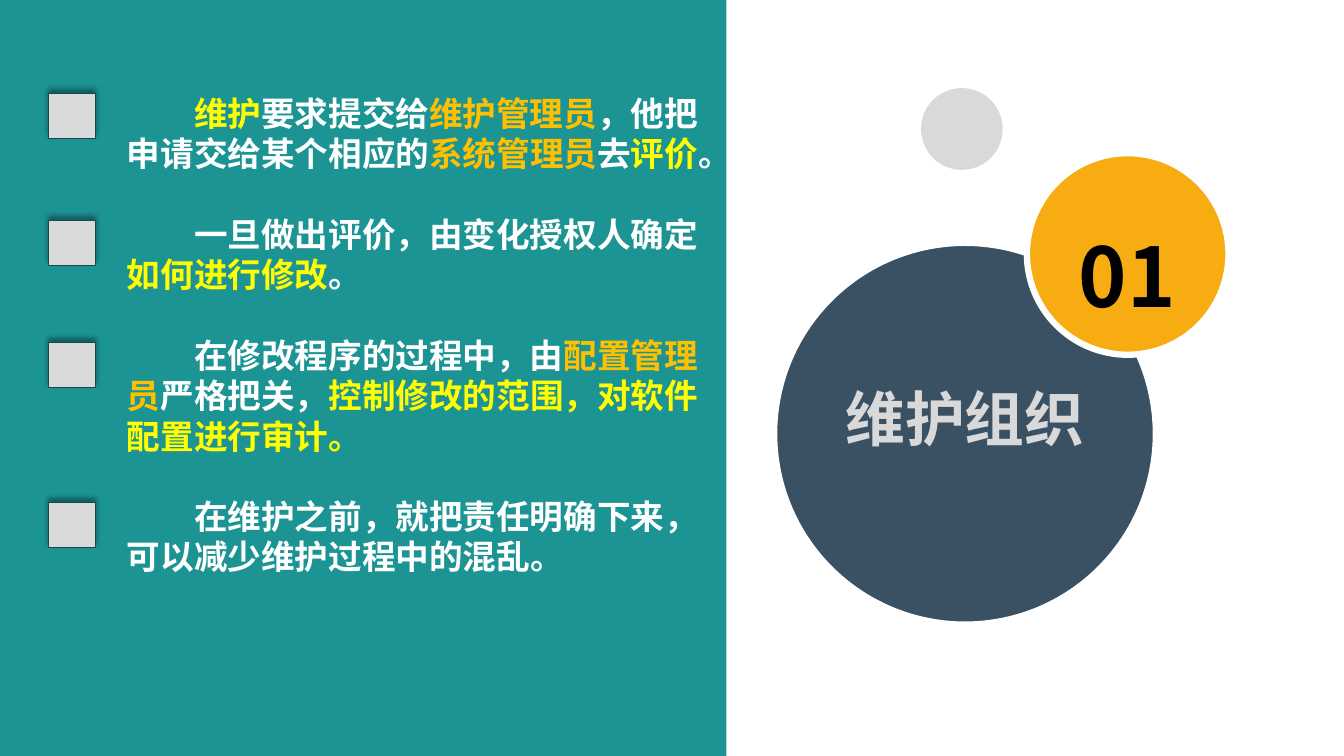
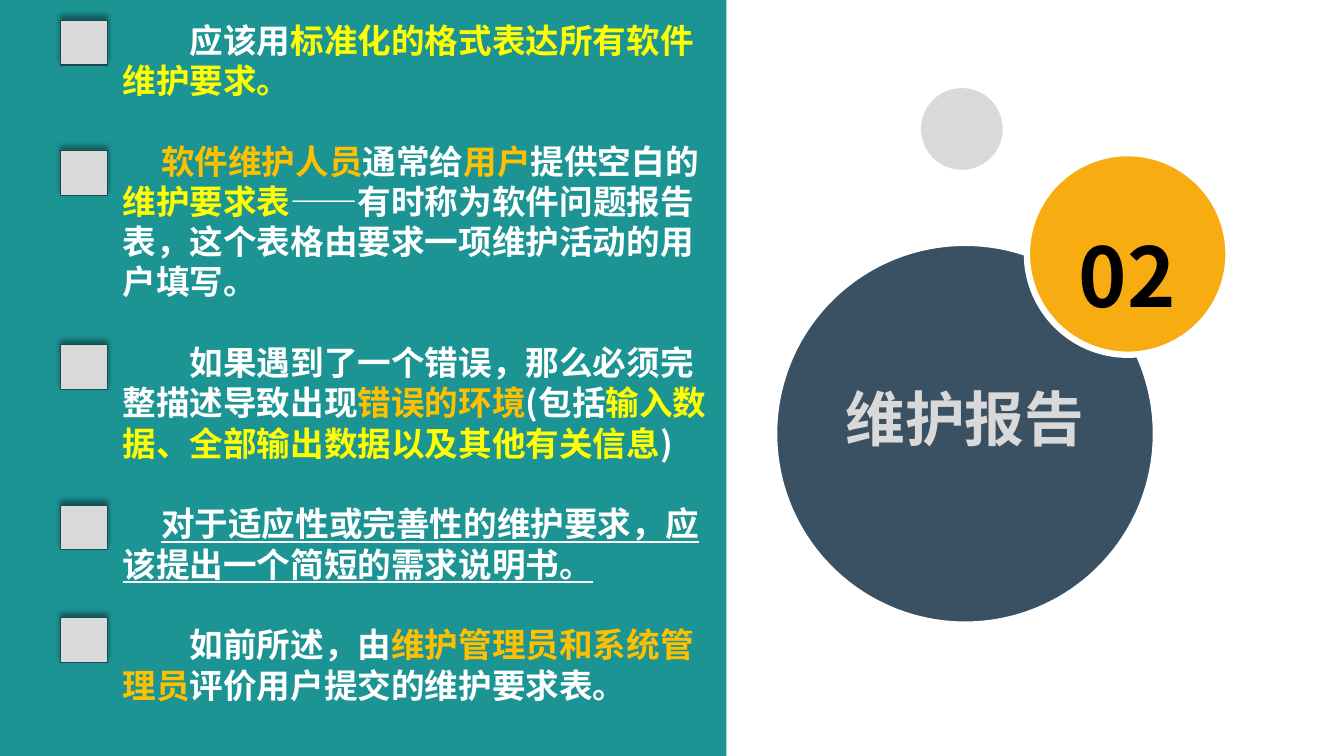
from lxml.etree import SubElement
from pptx import Presentation
from pptx.dml.color import RGBColor
from pptx.enum.shapes import MSO_SHAPE as Preset
from pptx.enum.text import MSO_ANCHOR as Anchor, MSO_AUTO_SIZE as AutoSize, PP_ALIGN as Align
from pptx.oxml.ns import qn
from pptx.util import Cm, Pt

FONT = "Noto Sans CJK SC"
COLORS = {
    "panel": "1C9494", "disc": "3A5063", "badge": "F7AC12", "grey": "D9D9D9",
    "marker_line": "1B4952", "plain": "FFFFFF", "key": "FFFF00", "role": "FFC000",
    "number": "000000", "shadow": "000000",
}
SLIDE_WIDTH, SLIDE_HEIGHT = 33.87, 19.05
PANEL_WIDTH = 18.31
LIST_WIDTH = 15.4
BODY_SIZE = 24
LINE_RATIO = 1.2
MARKER_SIZE = (1.18, 1.13)
WIDE, NARROW = 1.69, 0.97  # first-line indents

# Each item: marker offset below the list top, first-line indent, spans (text, colour, underlined)
SECTIONS = [
    {
        "number": "01", "title": "维护组织",
        "list_box": (3.02, 2.21, LIST_WIDTH, 12.57), "marker_shift": -1.8,
        "items": [
            (0.15, WIDE, [
                ("维护", "key"), ("要求提交给", "plain"), ("维护管理员", "role"),
                ("，他把申请交给某个相应的", "plain"), ("系统管理员", "role"),
                ("去", "plain"), ("评价", "key"), ("。", "plain")]),
            (3.35, WIDE, [
                ("一旦做出评价，由变化授权人确定", "plain"),
                ("如何进行修改", "key"), ("。", "plain")]),
            (6.43, WIDE, [
                ("在修改程序的过程中，由", "plain"), ("配置管理员", "role"),
                ("严格把关，", "plain"),
                ("控制修改的范围，对软件配置进行审计。", "key")]),
            (10.46, WIDE, [
                ("在维护之前，就把责任明确下来，可以减少维护过程中的混乱。", "plain")]),
        ],
    },
    {
        "number": "02", "title": "维护报告",
        "list_box": (2.91, 0.36, LIST_WIDTH, 17.7), "marker_shift": -1.38,
        "items": [
            (0.15, WIDE, [
                ("应该用", "plain"), ("标准化的格式表达所有软件维护要求。", "key")]),
            (3.43, NARROW, [
                ("软件维护人员", "role"), ("通常给", "plain"), ("用户", "role"),
                ("提供空白的", "plain"), ("维护要求表", "key"),
                ("——有时称为软件问题报告表，这个表格由要求一项维护活动的用户填写。", "plain")]),
            (8.33, WIDE, [
                ("如果遇到了一个错误，那么必须完整描述导致出现", "plain"),
                ("错误的环境", "role"), ("(包括", "plain"),
                ("输入数据、全部输出数据以及其他有关信息", "key"), (")", "plain")]),
            (12.37, NARROW, [
                ("对于适应性或完善性的维护要求，应该提出一个简短的需求说明书。", "plain", True)]),
            (15.2, WIDE, [
                ("如前所述，由", "plain"), ("维护管理员和系统管理员", "role"),
                ("评价用户提交的维护要求表。", "plain")]),
        ],
    },
]


def rgb(name):
    return RGBColor.from_string(COLORS[name])


def add_figure(page, preset, box, fill, line=None, line_width=0):
    figure = page.shapes.add_shape(preset, *map(Cm, box))
    figure.shadow.inherit = False
    figure.fill.solid()
    figure.fill.fore_color.rgb = rgb(fill)
    if line:
        figure.line.color.rgb = rgb(line)
        figure.line.width = Pt(line_width)
    else:
        figure.line.fill.background()
    return figure


def add_span(para, text, color, size, underlined=False):
    span = para.add_run()
    span.text = text
    font = span.font
    font.size, font.bold = Pt(size), True
    font.underline = underlined
    font.color.rgb = rgb(color)
    font.name = FONT
    SubElement(span._r.get_or_add_rPr(), qn("a:ea"), typeface=FONT)


def set_frame(shape, box, margins, anchor=Anchor.TOP):
    """Place a text shape and return its frame, wrapped and of fixed size."""
    shape.left, shape.top, shape.width, shape.height = map(Cm, box)
    frame = shape.text_frame
    frame.word_wrap = True
    frame.auto_size = AutoSize.NONE
    frame.vertical_anchor = anchor
    frame.margin_left = frame.margin_right = Cm(margins[0])
    frame.margin_top = frame.margin_bottom = Cm(margins[1])
    return frame


def bring_forward(page, shape):
    page.shapes._spTree.append(shape._element)


def write_heading(frame, text, color, size, spacing=1):
    para = frame.paragraphs[0]
    para.alignment = Align.CENTER
    para.line_spacing = Pt(size * LINE_RATIO * spacing)
    add_span(para, text, color, size)


def add_emblem(page, left, top, title, number):
    """Draw the three discs with the section title and number."""
    add_figure(page, Preset.OVAL, (left + 3.7, top, 2.06, 2.06), "grey")
    add_figure(page, Preset.OVAL, (left, top + 3.9, 9.62, 9.62), "disc", "plain", 4.5)
    heading = page.shapes.title
    bring_forward(page, heading)
    frame = set_frame(heading, (left, top + 7.22, 9.62, 2.16), (0.18, 0.18))
    write_heading(frame, title, "grey", 42.7)

    add_figure(page, Preset.OVAL, (left + 6.37, top + 1.64, 5.08, 5.08),
               "badge", "plain", 4.5)
    box = (left + 7.55, top + 2.44, 2.69, 3.51)
    label = page.shapes.add_textbox(*map(Cm, box))
    frame = set_frame(label, box, (0, 0), Anchor.MIDDLE)
    write_heading(frame, number, "number", 58.7, 1.4)


def add_marker(page, left, top):
    marker = add_figure(page, Preset.RECTANGLE, (left, top, *MARKER_SIZE),
                        "grey", "marker_line", 0.75)
    effects = marker._element.spPr.find(qn("a:effectLst"))
    shadow = SubElement(effects, qn("a:outerShdw"), blurRad=str(Pt(4)),
                        dist=str(Pt(3)), dir="16200000", rotWithShape="0")
    tone = SubElement(shadow, qn("a:srgbClr"), val=COLORS["shadow"])
    SubElement(tone, qn("a:alpha"), val="40000")


def add_list(page, box, marker_shift, items):
    left, top = box[:2]
    body = page.placeholders[1]
    bring_forward(page, body)
    frame = set_frame(body, box, (0.18, 0.13))
    line_height = Pt(BODY_SIZE * LINE_RATIO)
    for index, (offset, indent, spans) in enumerate(items):
        add_marker(page, left + marker_shift, top + offset)
        para = frame.add_paragraph() if index else frame.paragraphs[0]
        settings = para._p.get_or_add_pPr()
        settings.set("marL", "0")
        settings.set("indent", str(Cm(indent)))
        SubElement(settings, qn("a:buNone"))
        para.alignment = Align.LEFT
        para.line_spacing = line_height
        para.space_before = line_height if index else Pt(0)
        for text, color, *underlined in spans:
            add_span(para, text, color, BODY_SIZE, bool(underlined))


def add_section(deck, section):
    page = deck.slides.add_slide(deck.slide_layouts[1])
    add_figure(page, Preset.RECTANGLE, (0, 0, PANEL_WIDTH, SLIDE_HEIGHT), "panel")
    add_emblem(page, 19.51, 2.22, section["title"], section["number"])
    add_list(page, section["list_box"], section["marker_shift"], section["items"])


def main():
    deck = Presentation()
    deck.slide_width, deck.slide_height = Cm(SLIDE_WIDTH), Cm(SLIDE_HEIGHT)
    for section in SECTIONS:
        add_section(deck, section)
    deck.save("out.pptx")


if __name__ == "__main__":
    main()
